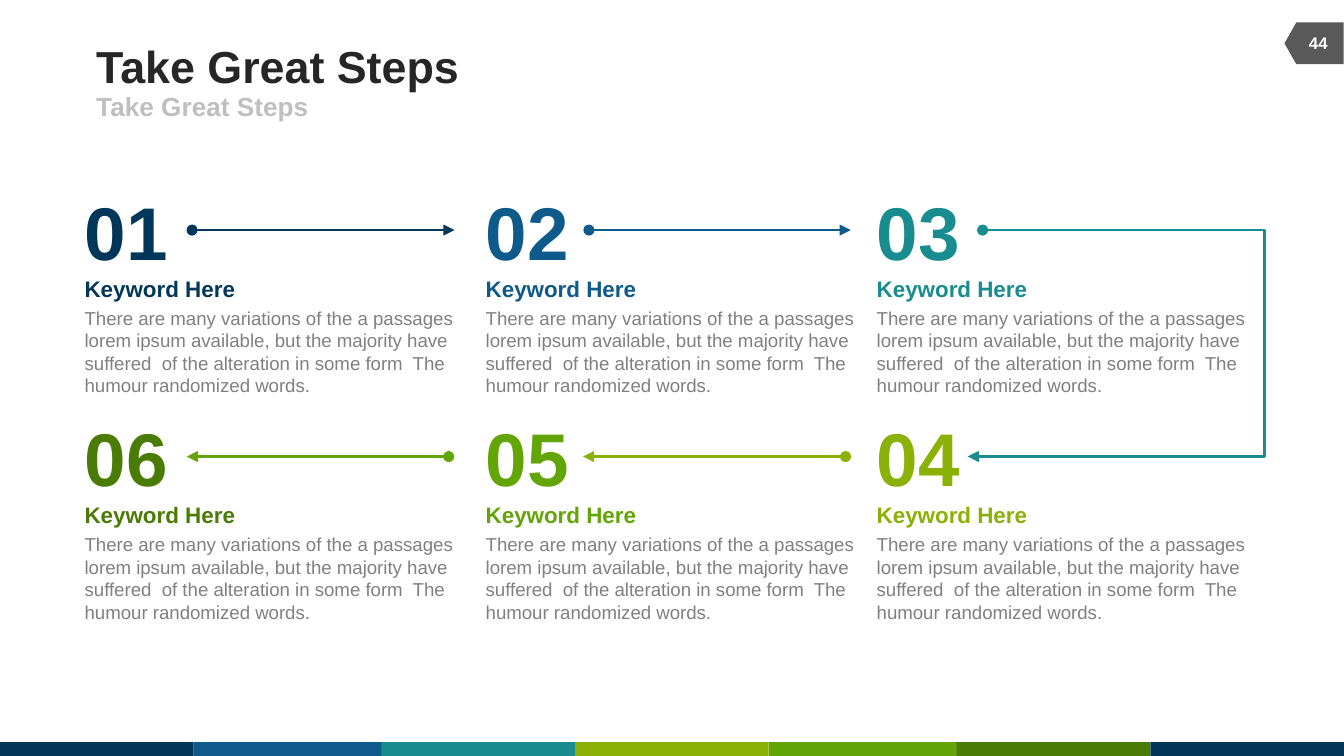
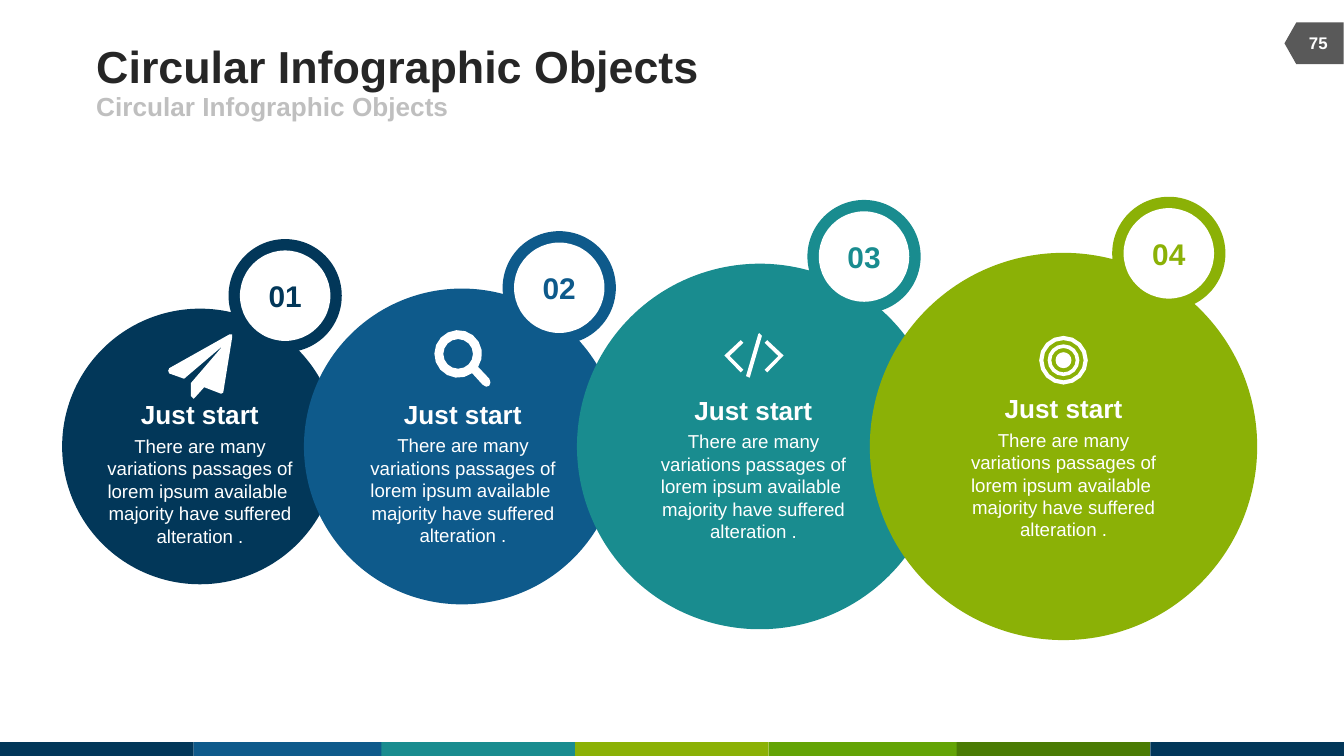
from dataclasses import dataclass
from math import cos, radians, sin

from pptx import Presentation
from pptx.dml.color import RGBColor
from pptx.enum.shapes import MSO_CONNECTOR, MSO_SHAPE
from pptx.enum.text import MSO_ANCHOR, MSO_AUTO_SIZE, PP_ALIGN
from pptx.oxml.ns import qn
from pptx.util import Cm, Pt
from lxml.etree import SubElement


@dataclass(frozen=True)
class Theme:
    font: str = "Arial"
    navy: str = "023759"
    blue: str = "0E5A8B"
    teal: str = "198C8F"
    lime: str = "8BB106"
    green: str = "63A406"
    forest: str = "4A7B04"
    ink: str = "262626"
    pale: str = "BFBFBF"
    body: str = "808080"
    flag: str = "595959"
    white: str = "FFFFFF"
    title_pt: float = 24
    subtitle_pt: float = 14
    page_pt: float = 9
    step_pt: float = 40
    keyword_pt: float = 12
    body_pt: float = 10
    heading_pt: float = 14
    badge_pt: float = 16
    line_pt: float = 1.5


T = Theme()

BAND = [(0, T.navy), (3.66, T.blue), (7.21, T.teal), (10.87, T.lime),
        (14.53, T.green), (18.08, T.forest), (21.74, T.navy)]

STEPS_TITLE, STEPS_PAGE = "Take Great Steps", "44"
KEYWORD = "Keyword Here"
STEP_BODY = ("There are many variations of the a passages lorem ipsum available, "
             "but the majority have suffered  of the alteration in some form  "
             "The humour randomized words.")
STEP_ROWS = [
    [("01", T.navy), ("02", T.blue), ("03", T.teal)],
    [("06", T.forest), ("05", T.green), ("04", T.lime)],
]
COLUMNS = [1.6, 9.18, 16.57]
ROW_TOP, ROW_PITCH, ARROW_DROP = 3.51, 4.28, 0.84
ARROWS = [
    (0, 3.63, 8.59, T.navy, "triangle"),
    (0, 11.13, 16.08, T.blue, "triangle"),
    (0, 18.57, 23.52, T.teal, None),
    (1, 15.98, 11.02, T.lime, "triangle"),
    (1, 8.48, 3.53, T.green, "triangle"),
]
TURN_START, TURN_END, TURN_BEND = 23.52, 18.29, -7200

CIRCLES_TITLE, CIRCLES_PAGE = "Circular Infographic Objects", "75"
HEADING = "Just start"
CIRCLE_BODY = ("There are many variations passages of lorem ipsum available  "
               "majority have suffered alteration .")
CIRCLE_MID = 8.44
CIRCLES = [
    dict(no="01", color=T.navy, cx=3.78, d=5.21, text_cx=3.78, text_top=7.54, badge=(4.32, 4.52)),
    dict(no="02", color=T.blue, cx=8.73, d=5.97, text_cx=8.75, text_top=7.53, badge=(9.5, 4.37)),
    dict(no="03", color=T.teal, cx=14.36, d=6.91, text_cx=14.24, text_top=7.45, badge=(15.26, 3.78)),
    dict(no="04", color=T.lime, cx=20.1, d=7.32, text_cx=20.1, text_top=7.42, badge=(21.02, 3.72)),
]
BADGE, BADGE_HOLE = 2.14, 1.71


def arc(cx, cy, r, start=0, sweep=360, n=16):
    angles = [radians(start + sweep * i / n) for i in range(n if sweep == 360 else n + 1)]
    return [(cx + r * cos(a), cy + r * sin(a)) for a in angles]


PLANE = [(4.39, 6.37), (4.22, 7.42), (4.19, 7.44), (4.17, 7.44), (3.86, 7.32),
         (3.68, 7.52), (3.66, 7.54), (3.61, 7.49), (3.61, 7.24), (4.22, 6.53),
         (3.48, 7.16), (3.2, 7.06), (3.18, 7.01), (3.2, 6.96), (4.34, 6.32),
         (4.39, 6.32)]
CHEVRON = [(14, 7.04), (13.69, 6.72), (14, 6.43), (14.05, 6.48), (13.79, 6.73), (14.05, 6.99)]
SLASH = [(14.17, 7.14), (14.1, 7.11), (14.33, 6.32), (14.35, 6.3), (14.4, 6.35)]
CODE_MID = 14.25
HANDLE = [(9.25, 7.16), (9.27, 7.23), (9.25, 7.29), (9.19, 7.31), (9.12, 7.27)]
ICONS = [
    [PLANE],
    [CHEVRON, SLASH, [(2 * CODE_MID - x, y) for x, y in CHEVRON]],
    [arc(8.66, 6.69, 0.45, 54, 339) + HANDLE, arc(8.66, 6.69, 0.28)],
    [arc(20.1, 6.81, r) for r in (0.46, 0.38, 0.3, 0.23, 0.15)],
]


def write(sp, text, size, color, bold=True, align=PP_ALIGN.LEFT,
          anchor=MSO_ANCHOR.TOP, wrap=True, grow=False):
    tf = sp.text_frame
    frame = dict(margin_left=0, margin_right=0, margin_top=0, margin_bottom=0,
                 word_wrap=wrap, vertical_anchor=anchor,
                 auto_size=MSO_AUTO_SIZE.SHAPE_TO_FIT_TEXT if grow else MSO_AUTO_SIZE.NONE)
    for name, value in frame.items():
        setattr(tf, name, value)
    p = tf.paragraphs[0]
    p.alignment = align
    r = p.add_run()
    r.text = text
    for name, value in dict(name=T.font, size=Pt(size), bold=bold).items():
        setattr(r.font, name, value)
    r.font.color.rgb = RGBColor.from_string(color)


def add_text(parent, box, text, size, color, **fmt):
    write(parent.shapes.add_textbox(*map(Cm, box)), text, size, color, **fmt)


def paint(sp, color):
    sp.shadow.inherit = False
    sp.fill.solid()
    sp.fill.fore_color.rgb = RGBColor.from_string(color)
    sp.line.fill.background()
    return sp


def add_shape(parent, kind, box, color):
    return paint(parent.shapes.add_shape(kind, *map(Cm, box)), color)


def add_line(s, kind, start, end, color, head=None, tail=None):
    cxn = s.shapes.add_connector(kind, *map(Cm, start + end))
    cxn.line.width = Pt(T.line_pt)
    cxn.line.color.rgb = RGBColor.from_string(color)
    pr = cxn._element.spPr
    for tag, end_type in (("a:headEnd", head), ("a:tailEnd", tail)):
        if end_type:
            SubElement(pr.find(qn("a:ln")), qn(tag), type=end_type)
    SubElement(pr, qn("a:effectLst"))
    return cxn


def add_icon(s, contours):
    paths = [[(Cm(x), Cm(y)) for x, y in c] for c in contours]
    fb = s.shapes.build_freeform(*paths[0][0])
    for i, points in enumerate(paths):
        if i:
            fb.move_to(*points[0])
        fb.add_line_segments(points[1:], close=True)
    paint(fb.convert_to_shape(), T.white)


def decorate_layout(s):
    band = s.shapes.add_group_shape()
    for x, color in BAND:
        add_shape(band, MSO_SHAPE.RECTANGLE, (x, 14.03, 3.66, 0.26), color)
    flag = add_shape(s, MSO_SHAPE.FLOWCHART_OFFPAGE_CONNECTOR, (24.44, 0.26, 0.79, 1.12), T.flag)
    flag.rotation = 90
    for sp in (band, flag):
        s.slide_layout.shapes._spTree.append(sp._element)


def add_slide(prs, title, page):
    s = prs.slides.add_slide(prs.slide_layouts[6])
    if len(prs.slides) == 1:
        decorate_layout(s)
    mid = dict(anchor=MSO_ANCHOR.MIDDLE)
    add_text(s, (1.82, 0.74, 15.67, 0.99), title, T.title_pt, T.ink, **mid)
    add_text(s, (1.82, 1.73, 11.43, 0.56), title, T.subtitle_pt, T.pale, **mid)
    add_text(s, (24.38, 0.43, 1.07, 0.76), page, T.page_pt, T.white, align=PP_ALIGN.CENTER, **mid)
    return s


def build_steps(prs):
    s = add_slide(prs, STEPS_TITLE, STEPS_PAGE)
    tops = [ROW_TOP + i * ROW_PITCH for i in range(len(STEP_ROWS))]
    for top, row in zip(tops, STEP_ROWS):
        for x, (no, color) in zip(COLUMNS, row):
            add_text(s, (x, top, 1.57, 1.7), no, T.step_pt, color,
                     align=PP_ALIGN.CENTER, wrap=False, grow=True)
            grp = s.shapes.add_group_shape()
            add_text(grp, (x, top + 2.29, 6.96, 1.7), STEP_BODY, T.body_pt, T.body,
                     bold=False, grow=True)
            add_text(grp, (x, top + 1.69, 2.87, 0.51), KEYWORD, T.keyword_pt, color,
                     anchor=MSO_ANCHOR.MIDDLE, wrap=False, grow=True)
    levels = [top + ARROW_DROP for top in tops]
    for row, x1, x2, color, tail in ARROWS:
        add_line(s, MSO_CONNECTOR.STRAIGHT, (x1, levels[row]), (x2, levels[row]),
                 color, "oval", tail)
    turn = add_line(s, MSO_CONNECTOR.ELBOW, (TURN_START, levels[0]), (TURN_END, levels[1]),
                    T.teal, tail="triangle")
    adjust = turn._element.spPr.find(qn("a:prstGeom")).find(qn("a:avLst"))
    SubElement(adjust, qn("a:gd"), name="adj1", fmla=f"val {TURN_BEND}")


def build_circles(prs):
    s = add_slide(prs, CIRCLES_TITLE, CIRCLES_PAGE)
    for c in CIRCLES:
        d, cx, top = c["d"], c["text_cx"], c["text_top"]
        add_shape(s, MSO_SHAPE.OVAL, (c["cx"] - d / 2, CIRCLE_MID - d / 2, d, d), c["color"])
        grp = s.shapes.add_group_shape()
        add_text(grp, (cx - 1.83, top + 0.68, 3.66, 2.13), CIRCLE_BODY, T.body_pt, T.white,
                 bold=False, align=PP_ALIGN.CENTER, grow=True)
        add_text(grp, (cx - 1.12, top, 2.24, 0.61), HEADING, T.heading_pt, T.white,
                 align=PP_ALIGN.CENTER, wrap=False, grow=True)
    for contours in ICONS:
        add_icon(s, contours)
    inset = (BADGE - BADGE_HOLE) / 2
    for c in CIRCLES:
        x, y = c["badge"]
        grp = s.shapes.add_group_shape()
        add_shape(grp, MSO_SHAPE.OVAL, (x, y, BADGE, BADGE), c["color"])
        hole = add_shape(grp, MSO_SHAPE.OVAL, (x + inset, y + inset, BADGE_HOLE, BADGE_HOLE), T.white)
        write(hole, c["no"], T.badge_pt, c["color"], align=PP_ALIGN.CENTER,
              anchor=MSO_ANCHOR.MIDDLE)


def main():
    prs = Presentation()
    prs.slide_width, prs.slide_height = Cm(25.4), Cm(14.29)
    build_steps(prs)
    build_circles(prs)
    prs.save("out.pptx")


if __name__ == "__main__":
    main()
